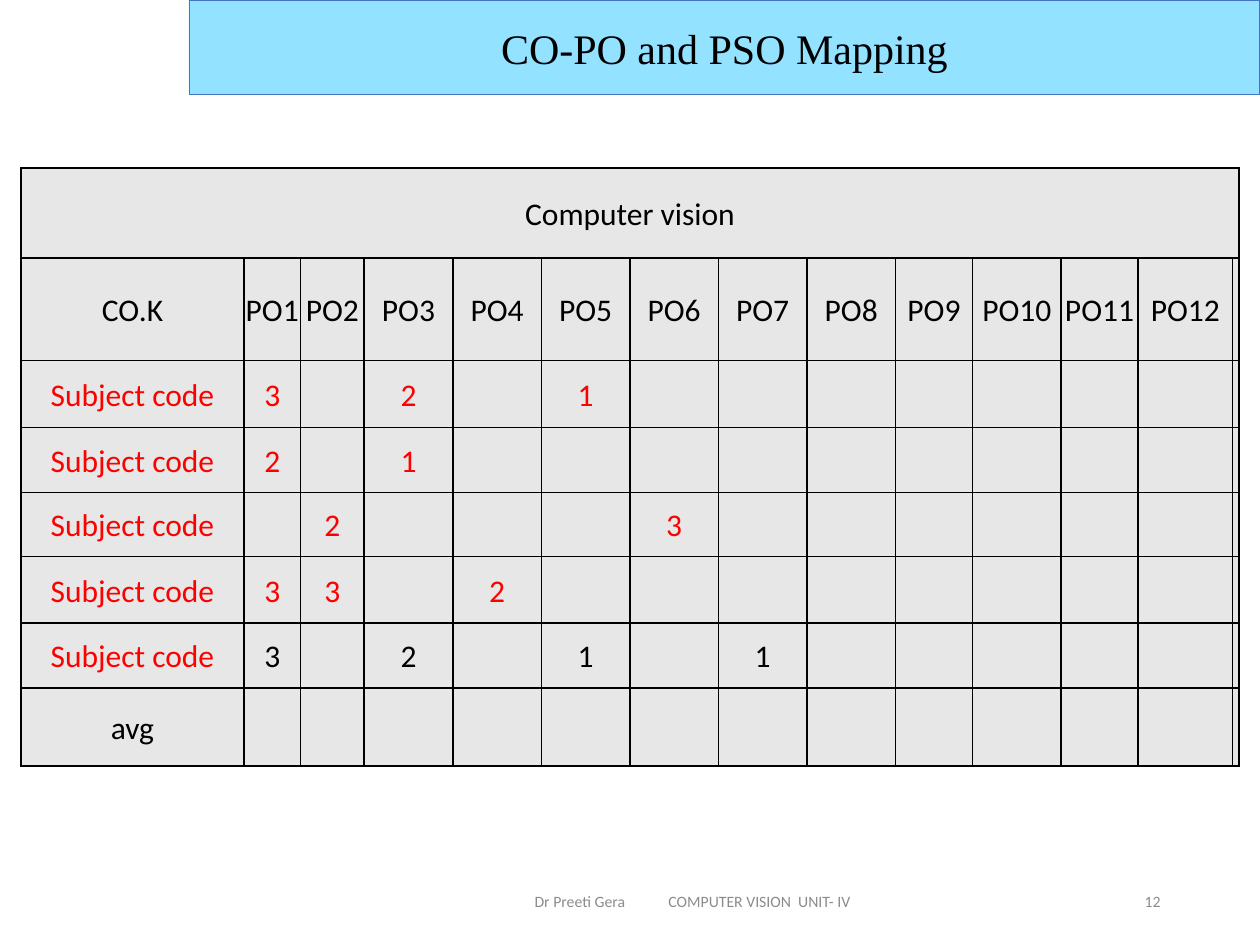
import pptx
import pptx.dml.color
import pptx.enum.shapes
import pptx.enum.text
import pptx.oxml.ns
import pptx.util
from dataclasses import dataclass
from lxml import etree

Pt = pptx.util.Pt
Align = pptx.enum.text.PP_ALIGN
MIDDLE = pptx.enum.text.MSO_ANCHOR.MIDDLE


@dataclass(frozen=True)
class Theme:
    banner: str = "93E2FF"
    banner_line: str = "4472C4"
    cell: str = "E7E7E7"
    ink: str = "000000"
    accent: str = "FF0000"
    muted: str = "8C8C8C"
    title_font: str = "Times New Roman"
    body_font: str = "Calibri"
    title_size: float = 24
    table_size: float = 18
    footer_size: float = 9


THEME = Theme()
COLUMNS = [127.5, 32.2, 36.5] + [50.6] * 6 + [44, 50.6, 44, 54, 3.2]
ROWS = [51.4, 58.6, 38.4, 37, 36.6, 38, 37.2, 44.6]
HEADINGS = ["CO.K"] + [f"PO{number}" for number in range(1, 13)]
SCORES = [
    {1: "3", 3: "2", 5: "1"},
    {1: "2", 3: "1"},
    {2: "2", 6: "3"},
    {1: "3", 2: "3", 4: "2"},
    {1: "3", 3: "2", 5: "1", 7: "1"},
]


def apply_format(target, values):
    for name, value in values.items():
        setattr(target, name, value)


def rgb(color):
    return pptx.dml.color.RGBColor.from_string(color)


def paint(fill, color):
    fill.solid()
    fill.fore_color.rgb = rgb(color)


def style_font(font, name, size, color):
    apply_format(font, {"name": name, "size": Pt(size)})
    paint(font.fill, color)


def add_banner(page, text):
    box = page.shapes.add_shape(pptx.enum.shapes.MSO_SHAPE.RECTANGLE, Pt(108), 0, Pt(612), Pt(54))
    box.shadow.inherit = False
    paint(box.fill, THEME.banner)
    paint(box.line.fill, THEME.banner_line)
    box.line.width = Pt(0.5)
    box.text_frame.vertical_anchor = MIDDLE
    para = box.text_frame.paragraphs[0]
    apply_format(para, {"text": text, "alignment": Align.CENTER})
    style_font(para.font, THEME.title_font, THEME.title_size, THEME.ink)


def add_footer(page, text, left, width, alignment, tab=None):
    box = page.shapes.add_textbox(Pt(left), Pt(500.4), Pt(width), Pt(28.8))
    frame = box.text_frame
    apply_format(frame, {"word_wrap": True, "vertical_anchor": MIDDLE})
    para = frame.paragraphs[0]
    apply_format(para, {"text": text, "alignment": alignment})
    if tab is not None:
        frame.margin_left = 0
        stops = etree.SubElement(para._p.get_or_add_pPr(), pptx.oxml.ns.qn("a:tabLst"))
        etree.SubElement(stops, pptx.oxml.ns.qn("a:tab"), pos=str(Pt(tab)), algn="l")
    style_font(para.font, THEME.body_font, THEME.footer_size, THEME.muted)


def add_borders(cell):
    properties = cell._tc.get_or_add_tcPr()
    for side in ("lnL", "lnR", "lnT", "lnB"):
        line = etree.SubElement(properties, pptx.oxml.ns.qn(f"a:{side}"), w=str(Pt(1)))
        fill = etree.SubElement(line, pptx.oxml.ns.qn("a:solidFill"))
        etree.SubElement(fill, pptx.oxml.ns.qn("a:srgbClr"), val=THEME.ink)


def style_cell(cell):
    add_borders(cell)
    paint(cell.fill, THEME.cell)
    apply_format(cell, {
        "vertical_anchor": MIDDLE,
        "margin_left": Pt(0.5),
        "margin_right": Pt(0.5),
        "margin_top": Pt(0.5),
        "margin_bottom": 0,
    })
    para = cell.text_frame.paragraphs[0]
    apply_format(para, {"alignment": Align.CENTER, "line_spacing": 1.06})
    style_font(para.font, THEME.body_font, THEME.table_size, THEME.ink)


def write_cell(cell, text, color):
    span = cell.text_frame.paragraphs[0].add_run()
    span.text = text
    style_font(span.font, THEME.body_font, THEME.table_size, color)


def add_mapping(page):
    table = page.shapes.add_table(
        len(ROWS), len(COLUMNS), Pt(12), Pt(96), Pt(sum(COLUMNS)), Pt(sum(ROWS))
    ).table
    apply_format(table, {"first_row": False, "horz_banding": False})
    for column, width in zip(table.columns, COLUMNS):
        column.width = Pt(width)
    for row, height in zip(table.rows, ROWS):
        row.height = Pt(height)
    for cell in table.iter_cells():
        style_cell(cell)
    table.cell(0, 0).merge(table.cell(0, len(COLUMNS) - 1))
    write_cell(table.cell(0, 0), "Computer vision", THEME.ink)
    for column, heading in enumerate(HEADINGS):
        write_cell(table.cell(1, column), heading, THEME.ink)
    for row, scores in enumerate(SCORES, start=2):
        write_cell(table.cell(row, 0), "Subject code", THEME.accent)
        color = THEME.ink if scores is SCORES[-1] else THEME.accent
        for column, score in scores.items():
            write_cell(table.cell(row, column), score, color)
    write_cell(table.cell(len(ROWS) - 1, 0), "avg", THEME.ink)


def main():
    deck = pptx.Presentation()
    apply_format(deck, {"slide_width": Pt(720), "slide_height": Pt(540)})
    page = deck.slides.add_slide(deck.slide_layouts[6])
    add_mapping(page)
    add_footer(page, "Dr Preeti Gera\tCOMPUTER VISION  UNIT- IV", 305.5, 288.5, Align.LEFT, 76.5)
    add_footer(page, "12", 508.3, 162, Align.RIGHT)
    add_banner(page, "CO-PO and PSO Mapping")
    deck.save("out.pptx")


if __name__ == "__main__":
    main()
